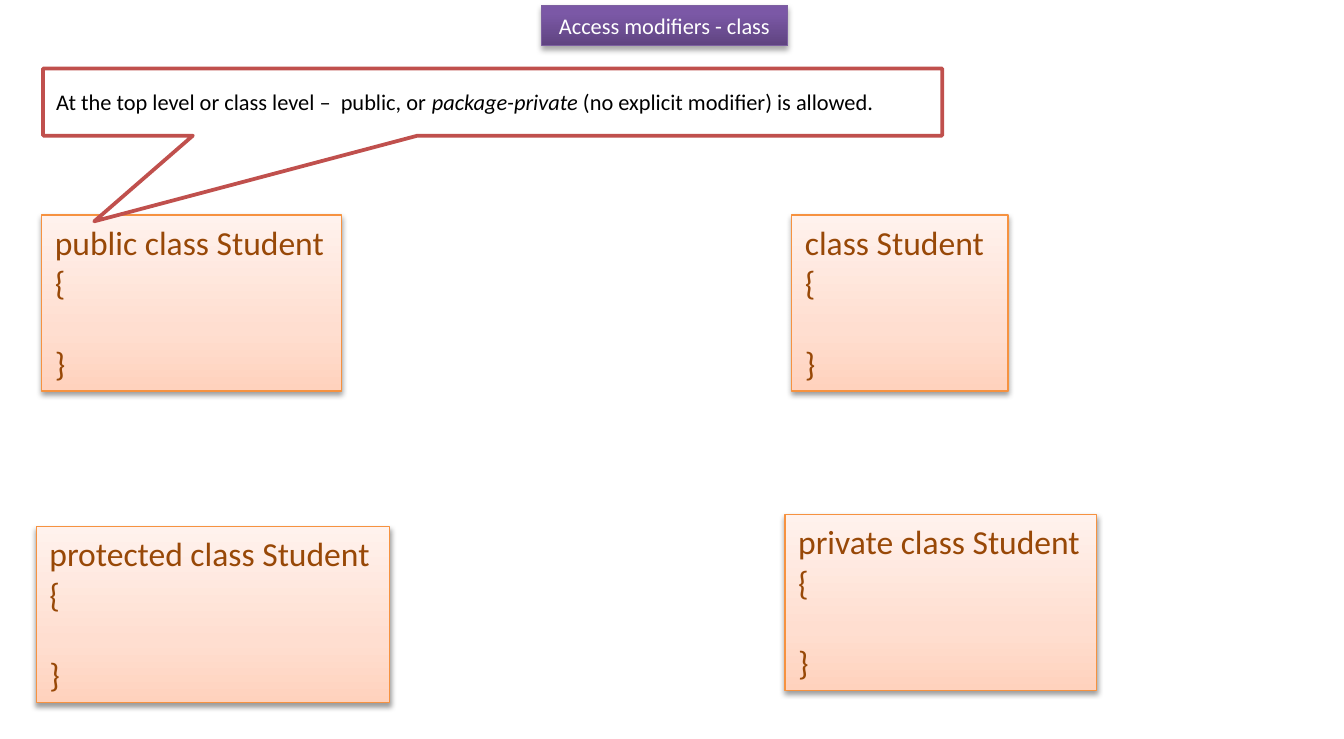
"""Build a slide on the access modifiers that a Java class may carry."""
from copy import deepcopy

from pptx import Presentation
from pptx.dml.color import RGBColor
from pptx.enum.shapes import MSO_SHAPE
from pptx.enum.text import MSO_ANCHOR, MSO_AUTO_SIZE, PP_ALIGN
from pptx.oxml import parse_xml
from pptx.oxml.ns import nsdecls, qn
from pptx.util import Inches, Pt

WHITE = RGBColor(0xFF, 0xFF, 0xFF)
BLACK = RGBColor(0x00, 0x00, 0x00)
RED = RGBColor(0xC0, 0x50, 0x4D)
PURPLE = RGBColor(0x7D, 0x60, 0xA0)
ORANGE = RGBColor(0xF6, 0x92, 0x40)
BROWN = RGBColor(0x98, 0x48, 0x07)
PURPLE_STOPS = [
    (0, RGBColor(0x5F, 0x44, 0x80)),
    (0.8, RGBColor(0x7B, 0x58, 0xA6)),
    (1, RGBColor(0x7C, 0x57, 0xA8)),
]
PEACH_STOPS = [
    (0, RGBColor(0xFF, 0xD2, 0xBD)),
    (0.35, RGBColor(0xFF, 0xDE, 0xD0)),
    (1, RGBColor(0xFF, 0xF2, 0xED)),
]

TITLE = "Access modifiers - class"
RULE = [
    ("At the top level or class level –  public, or ", False),
    ("package-private", True),
    (" (no explicit modifier) is allowed.", False),
]
CODE_BODY = ["{", "  ", "}"]
CODE_HEIGHT = 1.31
PUBLIC_CLASS = ("public class Student", 0.31, 1.6, 2.23)
OTHER_CLASSES = [
    ("class Student", 5.89, 1.6, 1.61),
    ("protected class Student", 0.27, 3.92, 2.63),
    ("private class Student", 5.84, 3.83, 2.32),
]


def place(shape, left, top, width, height):
    shape.left, shape.top = Inches(left), Inches(top)
    shape.width, shape.height = Inches(width), Inches(height)


def set_line(shape, color, width):
    shape.line.color.rgb = color
    shape.line.width = Pt(width)


def set_gradient(shape, stops):
    shape.fill.gradient()
    shape.fill.gradient_angle = 90
    first = shape._element.spPr.find(".//" + qn("a:gs"))
    first.addnext(deepcopy(first))
    for stop, (position, color) in zip(shape.fill.gradient_stops, stops):
        stop.position = position
        stop.color.rgb = color


def set_shadow(shape, distance, opacity):
    shape.shadow.inherit = False
    effects = shape._element.spPr.find(qn("a:effectLst"))
    effects.append(parse_xml(
        f'<a:outerShdw {nsdecls("a")} blurRad="{Pt(3.1)}" dist="{Pt(distance)}"'
        ' dir="5400000" rotWithShape="0"><a:srgbClr val="000000">'
        f'<a:alpha val="{opacity * 1000}"/></a:srgbClr></a:outerShdw>'))


def set_frame(shape, anchor, wrap, auto_size):
    frame = shape.text_frame
    frame.word_wrap = wrap
    frame.auto_size = auto_size
    frame.vertical_anchor = anchor
    frame.margin_left = frame.margin_right = Inches(0.1)
    frame.margin_top = frame.margin_bottom = Inches(0.05)
    return frame


def add_span(para, text, size, color, italic=False):
    span = para.add_run()
    span.text = text
    span.font.name = "Calibri"
    span.font.size = Pt(size)
    span.font.italic = italic
    span.font.color.rgb = color


def format_title(title):
    place(title, 4.03, 0.04, 1.83, 0.3)
    set_gradient(title, PURPLE_STOPS)
    set_line(title, PURPLE, 0.75)
    set_shadow(title, 1.8, 35)
    frame = set_frame(title, MSO_ANCHOR.TOP, True, MSO_AUTO_SIZE.NONE)
    para = frame.paragraphs[0]
    para.alignment = PP_ALIGN.CENTER
    add_span(para, TITLE, 12, WHITE)


def add_code(page, heading, left, top, width):
    box = page.shapes.add_shape(MSO_SHAPE.RECTANGLE, 0, 0, 0, 0)
    place(box, left, top, width, CODE_HEIGHT)
    set_gradient(box, PEACH_STOPS)
    set_line(box, ORANGE, 0.75)
    set_shadow(box, 1.6, 38)
    frame = set_frame(box, MSO_ANCHOR.TOP, False, MSO_AUTO_SIZE.SHAPE_TO_FIT_TEXT)
    for index, text in enumerate([heading, *CODE_BODY]):
        para = frame.add_paragraph() if index else frame.paragraphs[0]
        para.alignment = PP_ALIGN.LEFT
        add_span(para, text, 18, BROWN)


def add_rule(page):
    callout = page.shapes.add_shape(MSO_SHAPE.RECTANGULAR_CALLOUT, 0, 0, 0, 0)
    place(callout, 0.32, 0.51, 6.69, 0.5)
    callout.adjustments[0] = -0.443
    callout.adjustments[1] = 1.776
    callout.shadow.inherit = False
    callout.fill.solid()
    callout.fill.fore_color.rgb = WHITE
    set_line(callout, RED, 2)
    frame = set_frame(callout, MSO_ANCHOR.MIDDLE, True, MSO_AUTO_SIZE.NONE)
    para = frame.paragraphs[0]
    para.alignment = PP_ALIGN.LEFT
    for text, italic in RULE:
        add_span(para, text, 12, BLACK, italic)


def main():
    deck = Presentation()
    deck.slide_width, deck.slide_height = Inches(10), Inches(5.5)
    page = deck.slides.add_slide(deck.slide_layouts.get_by_name("Title Only"))
    format_title(page.shapes.title)
    add_code(page, *PUBLIC_CLASS)
    add_rule(page)
    for sample in OTHER_CLASSES:
        add_code(page, *sample)
    deck.save("out.pptx")


if __name__ == "__main__":
    main()
